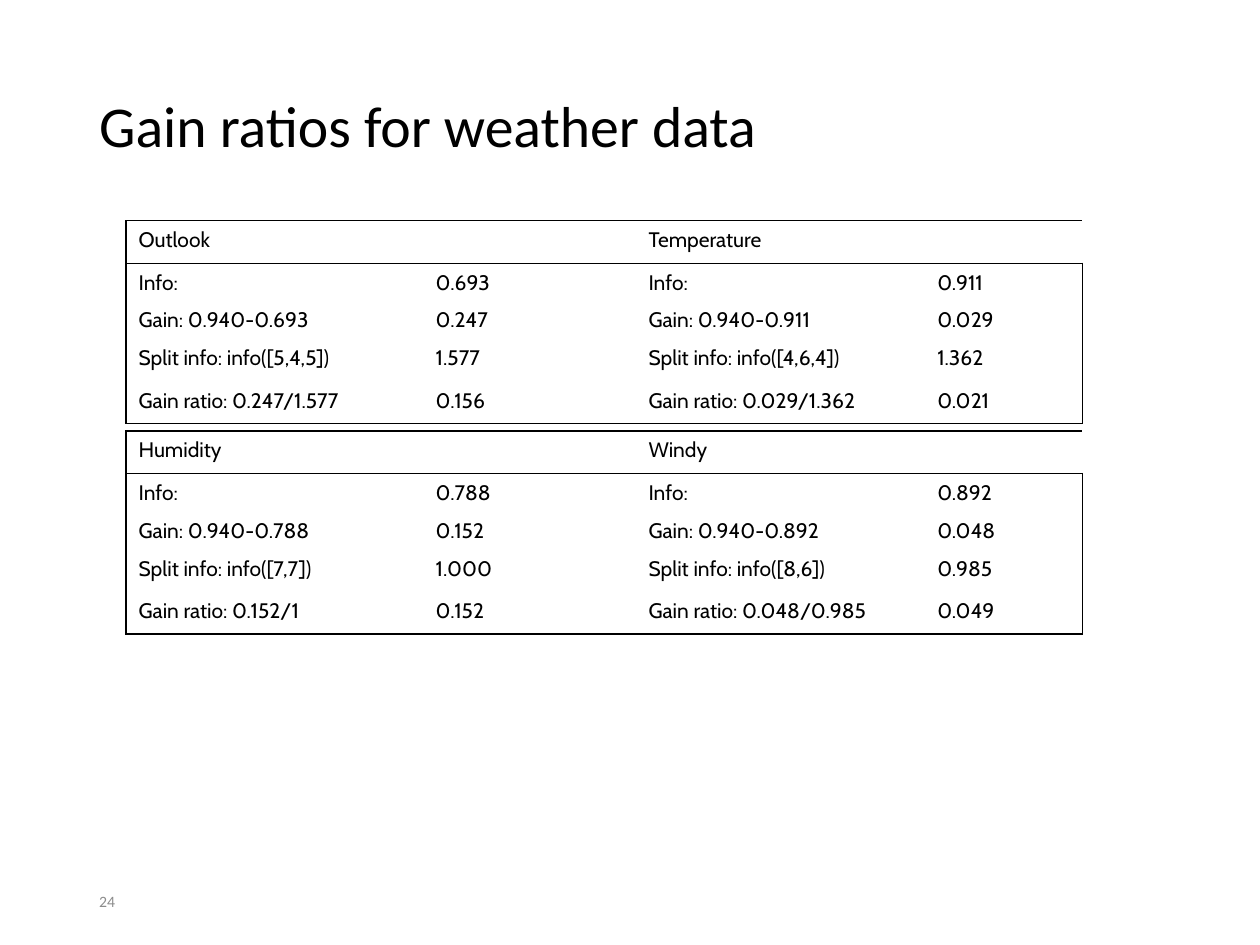
from lxml.etree import SubElement
from pptx import Presentation
from pptx.dml.color import RGBColor
from pptx.enum.text import MSO_ANCHOR
from pptx.oxml.ns import qn
from pptx.util import Cm, Pt

BLACK = RGBColor(0x00, 0x00, 0x00)
GREY = RGBColor(0x8C, 0x8C, 0x8C)

TABLE_LEFT = 2.54
COLUMN_WIDTHS = [5.99, 4.29, 5.82, 3.18]
ROW_HEIGHTS = [0.86, 0.76, 0.76, 0.86, 0.84]

OUTLOOK_TEMPERATURE = [
    ["Outlook", "", "Temperature", ""],
    ["Info:", "0.693", "Info:", "0.911"],
    ["Gain: 0.940-0.693", "0.247", "Gain: 0.940-0.911", "0.029"],
    ["Split info: info([5,4,5])", "1.577", "Split info: info([4,6,4])", "1.362"],
    ["Gain ratio: 0.247/1.577", "0.156", "Gain ratio: 0.029/1.362", "0.021"],
]
HUMIDITY_WINDY = [
    ["Humidity", "", "Windy", ""],
    ["Info:", "0.788", "Info:", "0.892"],
    ["Gain: 0.940-0.788", "0.152", "Gain: 0.940-0.892", "0.048"],
    ["Split info: info([7,7])", "1.000", "Split info: info([8,6])", "0.985"],
    ["Gain ratio: 0.152/1", "0.152", "Gain ratio: 0.048/0.985", "0.049"],
]


def write(frame, text, *, size, font, color=BLACK, line_spacing=None):
    """Put one formatted line of text into a text frame."""
    para = frame.paragraphs[0]
    para.line_spacing = line_spacing
    span = para.add_run()
    span.text = text
    span.font.size = Pt(size)
    span.font.name = font
    span.font.bold = False
    span.font.color.rgb = color


def add_text(page, text, left, top, width, height, **text_format):
    box = page.shapes.add_textbox(Cm(left), Cm(top), Cm(width), Cm(height))
    frame = box.text_frame
    frame.word_wrap = True
    frame.vertical_anchor = MSO_ANCHOR.MIDDLE
    write(frame, text, **text_format)


def set_borders(cell, sides):
    """Draw the named sides in black and hide the others."""
    properties = cell._tc.get_or_add_tcPr()
    for side in "LRTB":
        line = SubElement(properties, qn(f"a:ln{side}"), w=str(Pt(1)))
        if side in sides:
            fill = SubElement(line, qn("a:solidFill"))
            SubElement(fill, qn("a:srgbClr"), val=str(BLACK))
        else:
            SubElement(line, qn("a:noFill"))


def add_gain_table(page, rows, top):
    row_count, column_count = len(rows), len(COLUMN_WIDTHS)
    table = page.shapes.add_table(
        row_count, column_count, Cm(TABLE_LEFT), Cm(top),
        Cm(sum(COLUMN_WIDTHS)), Cm(sum(ROW_HEIGHTS))).table
    table.first_row = False
    table.horz_banding = False
    for column, width in zip(table.columns, COLUMN_WIDTHS):
        column.width = Cm(width)
    for row, height in zip(table.rows, ROW_HEIGHTS):
        row.height = Cm(height)

    # Each attribute name spans its label and value columns
    for start in (0, 2):
        table.cell(0, start).merge(table.cell(0, start + 1))

    # Outer frame, plus a rule under the header row
    for r, texts in enumerate(rows):
        for c, text in enumerate(texts):
            cell = table.cell(r, c)
            sides = "L" if c == 0 else "R" if c == column_count - 1 else ""
            sides += "T" if r <= 1 else ""
            sides += "B" if r in (0, row_count - 1) else ""
            set_borders(cell, sides)
            cell.fill.background()
            if text:
                write(cell.text_frame, text, size=12, font="Cabin")


def main():
    deck = Presentation()
    deck.slide_width, deck.slide_height = Cm(25.4), Cm(19.05)
    page = deck.slides.add_slide(deck.slide_layouts[6])

    # Slide number and title
    add_text(page, "24", 1.75, 17.65, 6.83, 1.02,
             size=9, font="Calibri", color=GREY)
    add_text(page, "Gain ratios for weather data", 1.75, 0.76, 21.9, 3.68,
             size=33, font="Calibri", line_spacing=0.9)

    # One table for each pair of attributes
    add_gain_table(page, OUTLOOK_TEMPERATURE, 4.45)
    add_gain_table(page, HUMIDITY_WINDY, 8.69)

    deck.save("out.pptx")


if __name__ == "__main__":
    main()
